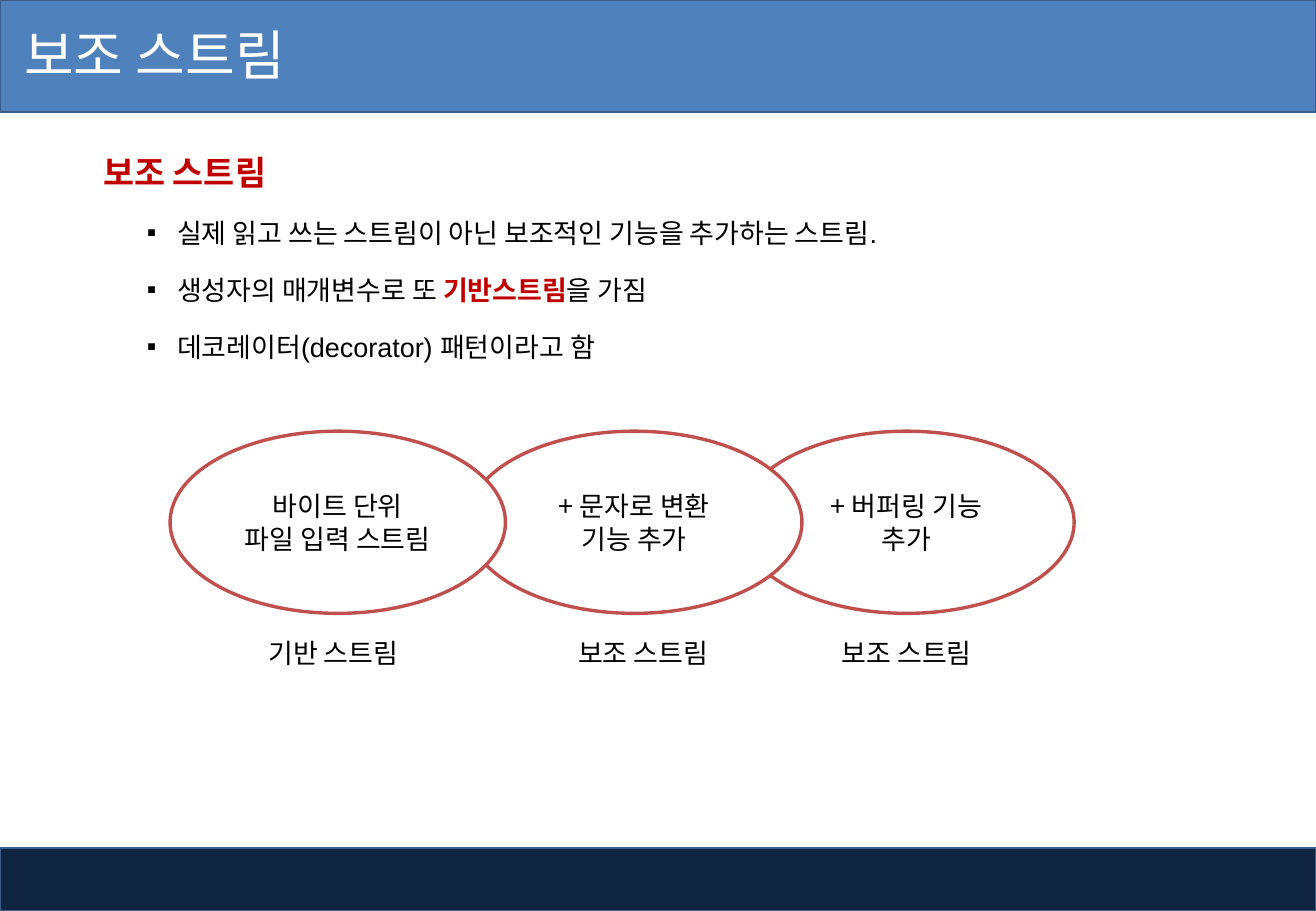
from lxml import etree
from pptx import Presentation
from pptx import util as u
from pptx.dml.color import RGBColor
from pptx.enum import shapes, text
from pptx.oxml.ns import qn

COLORS = {"white": "FFFFFF", "black": "000000", "red": "C00000", "header": "4F81BD",
          "footer": "0F243E", "edge": "3A5F8C", "ring": "C0504D"}
NOTO, ARIAL = "Noto Sans CJK KR", "Arial"
WIDTH, HEIGHT = 10.83, 7.5


class Deck:
    def __init__(self):
        self.prs = Presentation()
        self.prs.slide_width = u.Inches(WIDTH)
        self.prs.slide_height = u.Inches(HEIGHT)
        self.s = self.prs.slides.add_slide(self.prs.slide_layouts[6])

    def color(self, name):
        return RGBColor.from_string(COLORS[name])

    def style(self, r, size, font=NOTO, color="black", bold=False):
        r.font.size = u.Pt(size)
        r.font.name = font
        r.font.bold = bold
        r.font.color.rgb = self.color(color)

    def shape(self, kind, box, fill, line, weight):
        sp = self.s.shapes.add_shape(kind, *map(u.Inches, box))
        sp.shadow.inherit = False
        sp.fill.solid()
        sp.fill.fore_color.rgb = self.color(fill)
        sp.line.color.rgb = self.color(line)
        sp.line.width = u.Pt(weight)
        return sp

    def bar(self, top, height, fill):
        self.shape(shapes.MSO_SHAPE.RECTANGLE, (0, top, WIDTH, height), fill, "edge", 1)

    def ellipse(self, left, lines):
        sp = self.shape(shapes.MSO_SHAPE.OVAL, (left, 3.55, 2.76, 1.5), "white", "ring", 2)
        tf = sp.text_frame
        tf.text = "\n".join(lines)
        tf.vertical_anchor = text.MSO_ANCHOR.MIDDLE
        for p in tf.paragraphs:
            p.alignment = text.PP_ALIGN.CENTER
            self.style(p.runs[0], 16)

    def textbox(self, box):
        tf = self.s.shapes.add_textbox(*map(u.Inches, box)).text_frame
        tf.word_wrap = True
        return tf

    def label(self, box, words, size=16, color="black", inset=0.1):
        tf = self.textbox(box)
        tf.text = words
        tf.margin_left = u.Inches(inset)
        tf.vertical_anchor = text.MSO_ANCHOR.MIDDLE
        self.style(tf.paragraphs[0].runs[0], size, color=color)

    def indent(self, p, left, first=0):
        pPr = p._p.get_or_add_pPr()
        pPr.set("marL", str(u.Inches(left)))
        pPr.set("indent", str(u.Inches(first)))
        return pPr

    def outline(self, box, heading, bullets):
        tf = self.textbox(box)
        tf.text = heading
        p = tf.paragraphs[0]
        p.line_spacing = 1.5
        self.indent(p, 0.14)
        self.style(p.runs[0], 20, ARIAL, "red", True)
        for parts in bullets:
            p = tf.add_paragraph()
            p.level = 1
            p.line_spacing = 1.5
            p.space_before = u.Pt(5)
            pPr = self.indent(p, 0.75, -0.25)
            etree.SubElement(pPr, qn("a:buFont")).set("typeface", ARIAL)
            etree.SubElement(pPr, qn("a:buChar")).set("char", "▪")
            for i, part in enumerate(parts):
                r = p.add_run()
                r.text = part
                strong = i == 1
                self.style(r, 16, ARIAL, "red" if strong else "black", strong)


def main():
    d = Deck()
    d.bar(6.98, 0.52, "footer")
    d.bar(0, 0.92, "header")
    d.label((0, -0.03, 4.16, 0.94), "보조 스트림", 32, "white", 0.2)
    d.outline((0.61, 1.03, 9.54, 1.85), "보조 스트림", [
        ["실제 읽고 쓰는 스트림이 아닌 보조적인 기능을 추가하는 스트림."],
        ["생성자의 매개변수로 또 ", "기반스트림", "을 가짐"],
        ["데코레이터(decorator) 패턴이라고 함"],
    ])
    for left, lines in [(6.08, ["+ 버퍼링 기능", "추가"]),
                        (3.84, ["+ 문자로 변환", "기능 추가"]),
                        (1.4, ["바이트 단위", "파일 입력 스트림"])]:
        d.ellipse(left, lines)
    for left, words in [(2.11, "기반 스트림"), (4.66, "보조 스트림"), (6.83, "보조 스트림")]:
        d.label((left, 5.19, 1.42, 0.37), words)
    d.prs.save("out.pptx")


if __name__ == "__main__":
    main()
